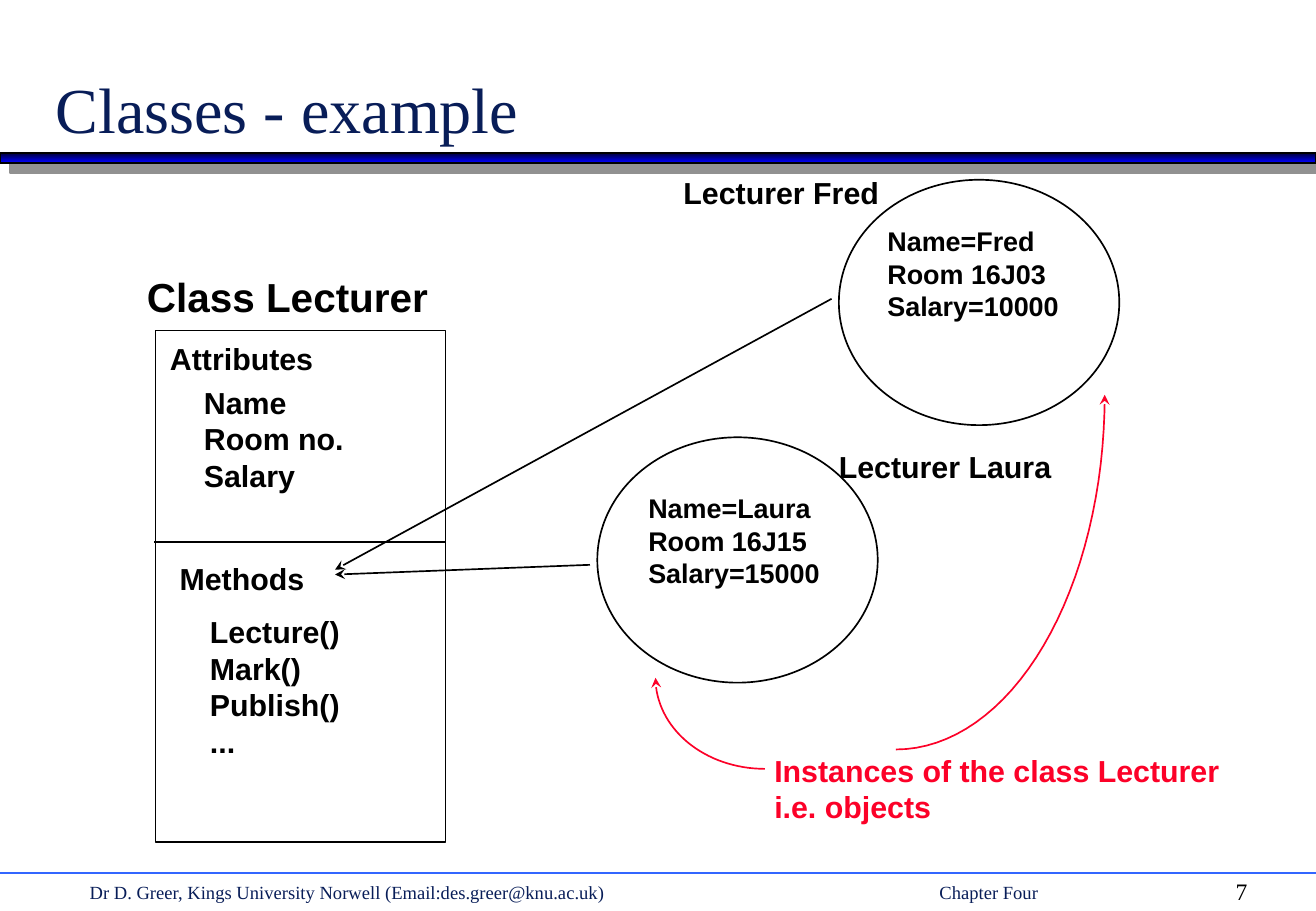
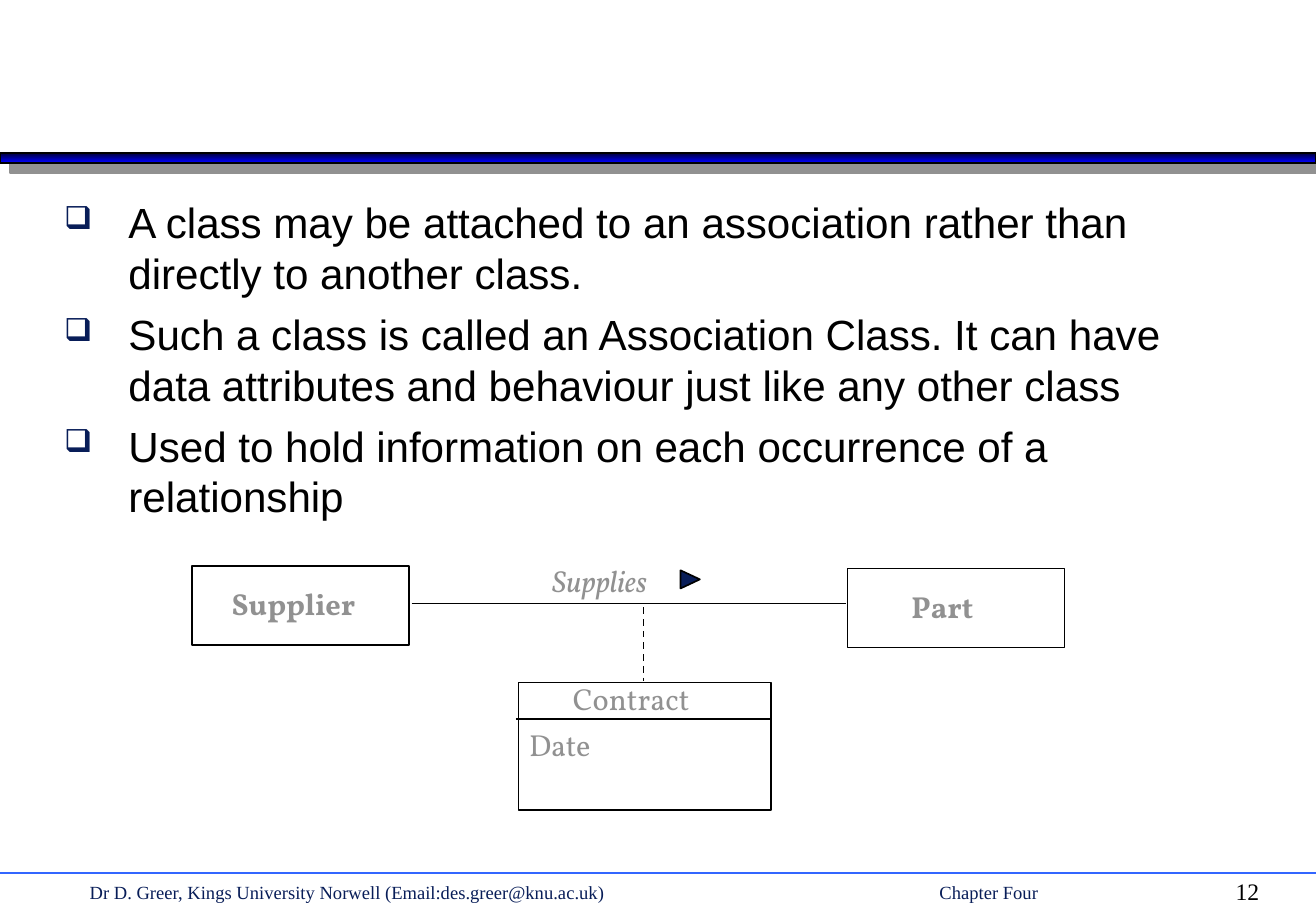
from math import cos, sin, pi
from lxml import etree
from pptx import Presentation
from pptx.dml.color import RGBColor as RGB
from pptx.enum.dml import MSO_LINE as DASH
from pptx.enum.shapes import MSO_CONNECTOR as LINK, MSO_SHAPE as FORM
from pptx.enum.text import MSO_ANCHOR as ANCHOR, MSO_AUTO_SIZE as FIT
from pptx.oxml.ns import qn
from pptx.util import Inches, Pt

# The grid: one cell is a tenth of an inch.
CELL = Inches(0.1)
COLS, ROWS = 108.4, 75
INK = dict(black="000000", white="FFFFFF", navy="081D58", red="FC0128",
           grey="919191", rule="3366FF", dark="000036", blue="0000FF")
SERIF, SANS, BOOK = "Times New Roman", "Arial", "Vollkorn"
WIDE, TIGHT = (1, 0.5), (0.5, 0.2)


def edge(item, hue="black", fill=None, head=None, tail=None):
    """Give a shape or connector a thin line, a flat fill and no shadow."""
    line = item.line
    line.width = Pt(1)
    line.color.rgb = RGB.from_string(INK[hue])
    for tag, kind in (("a:headEnd", head), ("a:tailEnd", tail)):
        if kind:
            etree.SubElement(line._get_or_add_ln(), qn(tag), type=kind)
    if fill:
        item.fill.solid()
        item.fill.fore_color.rgb = RGB.from_string(INK[fill])
    elif hasattr(item, "fill"):
        item.fill.background()
    return etree.SubElement(item._element.spPr, qn("a:effectLst"))


def say(page, spot, lines, size, face=SANS, hue="black", bold=False,
        slant=False, pad=WIDE, wrap=False):
    """Write lines in a text box placed on the grid."""
    frame = page.shapes.add_textbox(*[int(n * CELL) for n in spot]).text_frame
    frame.word_wrap = wrap
    frame.auto_size = FIT.NONE if wrap else FIT.SHAPE_TO_FIT_TEXT
    frame.margin_left = frame.margin_right = int(pad[0] * CELL)
    frame.margin_top = frame.margin_bottom = int(pad[1] * CELL)
    for i, words in enumerate(lines):
        para = frame.paragraphs[0] if i == 0 else frame.add_paragraph()
        run = para.add_run()
        run.text = words
        font = run.font
        font.size, font.name, font.bold, font.italic = Pt(size), face, bold, slant
        font.color.rgb = RGB.from_string(INK[hue])
    return frame


deck = Presentation()
deck.slide_width, deck.slide_height = int(COLS * CELL), int(ROWS * CELL)

# Band, rule and footer on every slide
pages = []
for number in ("7", "12"):
    page = deck.slides.add_slide(deck.slide_layouts[6])
    pages.append(page)
    band = page.shapes.add_shape(
        FORM.RECTANGLE, 0, int(12.6 * CELL), int(COLS * CELL), int(0.8 * CELL))
    glow = edge(band)
    band.fill.gradient()
    band.fill.gradient_angle = 270
    for stop, hue in zip(band.fill.gradient_stops, ("dark", "blue")):
        stop.color.rgb = RGB.from_string(INK[hue])
    shade = etree.SubElement(glow, qn("a:outerShdw"), blurRad="0",
                             dist=str(Pt(8.5)), dir=str(45 * 60000),
                             algn="ctr", rotWithShape="0")
    etree.SubElement(shade, qn("a:srgbClr"), val=INK["grey"])
    rule = page.shapes.add_connector(
        LINK.STRAIGHT, 0, int(71.9 * CELL), int(COLS * CELL), int(71.9 * CELL))
    edge(rule, "rule")
    for spot, words, size, hue in (
            ((6.4, 72, 60, 3), "Dr D. Greer, Kings University Norwell "
             "(Email:des.greer@knu.ac.uk)", 11, "navy"),
            ((76.4, 72, 20, 3), "Chapter Four", 11, "navy"),
            ((100.8, 71.7, 5.8, 3.4), number, 14, "black")):
        say(page, spot, [words], size, SERIF, hue, wrap=True)
first, second = pages

# Boxes and ovals: page, form, place, fill, turn
OVAL = (23.1, 20.2)
PART = (17.9, 6.5)
for page, form, spot, fill, turn in (
        (first, FORM.RECTANGLE, (12.8, 27.2, 23.9, 42.1), None, 0),
        (first, FORM.OVAL, (69.1, 14.8, *OVAL), None, 0),
        (first, FORM.OVAL, (49.2, 36, *OVAL), None, 0),
        (second, FORM.RECTANGLE, (15.8, 46.6, *PART), "white", 0),
        (second, FORM.RECTANGLE, (69.8, 46.8, *PART), "white", 0),
        (second, FORM.RECTANGLE, (42.7, 56.2, 20.8, 10.5), "white", 0),
        (second, FORM.ISOSCELES_TRIANGLE, (56.1, 46.9, 1.5, 1.6), "navy", 90)):
    shape = page.shapes.add_shape(form, *[int(n * CELL) for n in spot])
    shape.rotation = turn
    edge(shape, fill=fill)

# Straight lines: page, ends, arrow, dash
for page, ends, tail, dash in (
        (first, (12.7, 44.6, 36.7, 44.6), None, None),
        (first, (68.5, 24.6, 27.6, 46.9), "stealth", None),
        (first, (48.6, 46.5, 27.6, 47.3), "stealth", None),
        (second, (33.9, 49.7, 69.7, 49.7), None, None),
        (second, (53, 50, 53, 56.1), None, DASH.DASH),
        (second, (42.5, 59.2, 63.5, 59.2), None, None)):
    line = page.shapes.add_connector(
        LINK.STRAIGHT, *[int(n * CELL) for n in ends])
    if dash:
        line.line.dash_style = dash
    edge(line, tail=tail)

# Quarter-ellipse arrows: centre and signed radii
STEPS = 32
for x, y, wide, high in ((73.8, 32.5, 17.2, 29.2), (63, 55.8, -9, 7.5)):
    turns = [pi / 2 * i / STEPS for i in range(STEPS + 1)]
    dots = [((x + wide * cos(t)) * CELL, (y + high * sin(t)) * CELL)
            for t in turns]
    pen = first.shapes.build_freeform(*dots[0])
    pen.add_line_segments(dots[1:], close=False)
    edge(pen.convert_to_shape(), "red", head="stealth")

# Slide one: title and labels
title = say(first, (3.6, 0, 92.1, 12.5), ["Classes - example"], 38, SERIF,
            "navy", wrap=True)
title.vertical_anchor = ANCHOR.BOTTOM
for spot, size, lines in (
        ((11.6, 22.2, 24.2, 4.4), 24, ["Class Lecturer"]),
        ((13.5, 27.8, 12.9, 3.4), 18, ["Attributes"]),
        ((16.3, 31.4, 12.6, 9.4), 18, ["Name", "Room no.", "Salary"]),
        ((14.3, 45.9, 11.3, 3.4), 18, ["Methods"]),
        ((16.8, 50.3, 11.7, 12.4), 18,
         ["Lecture()", "Mark()", "Publish()", "..."]),
        ((55.8, 14.1, 17.2, 3.4), 18, ["Lecturer Fred"]),
        ((72.6, 18.3, 15.2, 8.4), 16,
         ["Name=Fred", "Room 16J03", "Salary=10000"]),
        ((68.6, 36.7, 18.6, 3.4), 18, ["Lecturer Laura"]),
        ((52.9, 40.3, 15.2, 8.4), 16,
         ["Name=Laura", "Room 16J15", "Salary=15000"])):
    say(first, spot, lines, size, bold=True, pad=TIGHT)
say(first, (62.8, 61.4, 39.4, 7),
    ["Instances of the class Lecturer", "i.e. objects"], 18, hue="red",
    bold=True)

# Slide two: bullets and labels
body = say(second, (4.3, 15.7, 99.9, 53.5), [
    "A class may be attached to an association rather than directly to "
    "another class.",
    "Such a class is called an Association Class. It can have data "
    "attributes and behaviour just like any other class",
    "Used to hold information on each occurrence of a relationship",
], 25, wrap=True)
dent = int(5.3 * CELL)
for para in body.paragraphs:
    para.space_before = Pt(6.2)
    props = para._p.get_or_add_pPr()
    props.set("marL", str(dent))
    props.set("indent", str(-dent))
    tint = etree.SubElement(props, qn("a:buClr"))
    etree.SubElement(tint, qn("a:srgbClr"), val=INK["navy"])
    etree.SubElement(props, qn("a:buSzPct"), val="75000")
    etree.SubElement(props, qn("a:buChar"), char="❑")
for spot, words, bold, slant in (
        ((18.1, 47.7, 12.9, 4), "Supplier", True, False),
        ((74.1, 47.9, 7.4, 4), "Part", True, False),
        ((44.5, 45.8, 11.7, 4), "Supplies", False, True),
        ((46.2, 55.5, 12.2, 4), "Contract", False, False),
        ((42.6, 59.3, 7.5, 4), "Date", False, False)):
    say(second, spot, [words], 18, BOOK, "grey", bold, slant)

deck.save("out.pptx")
